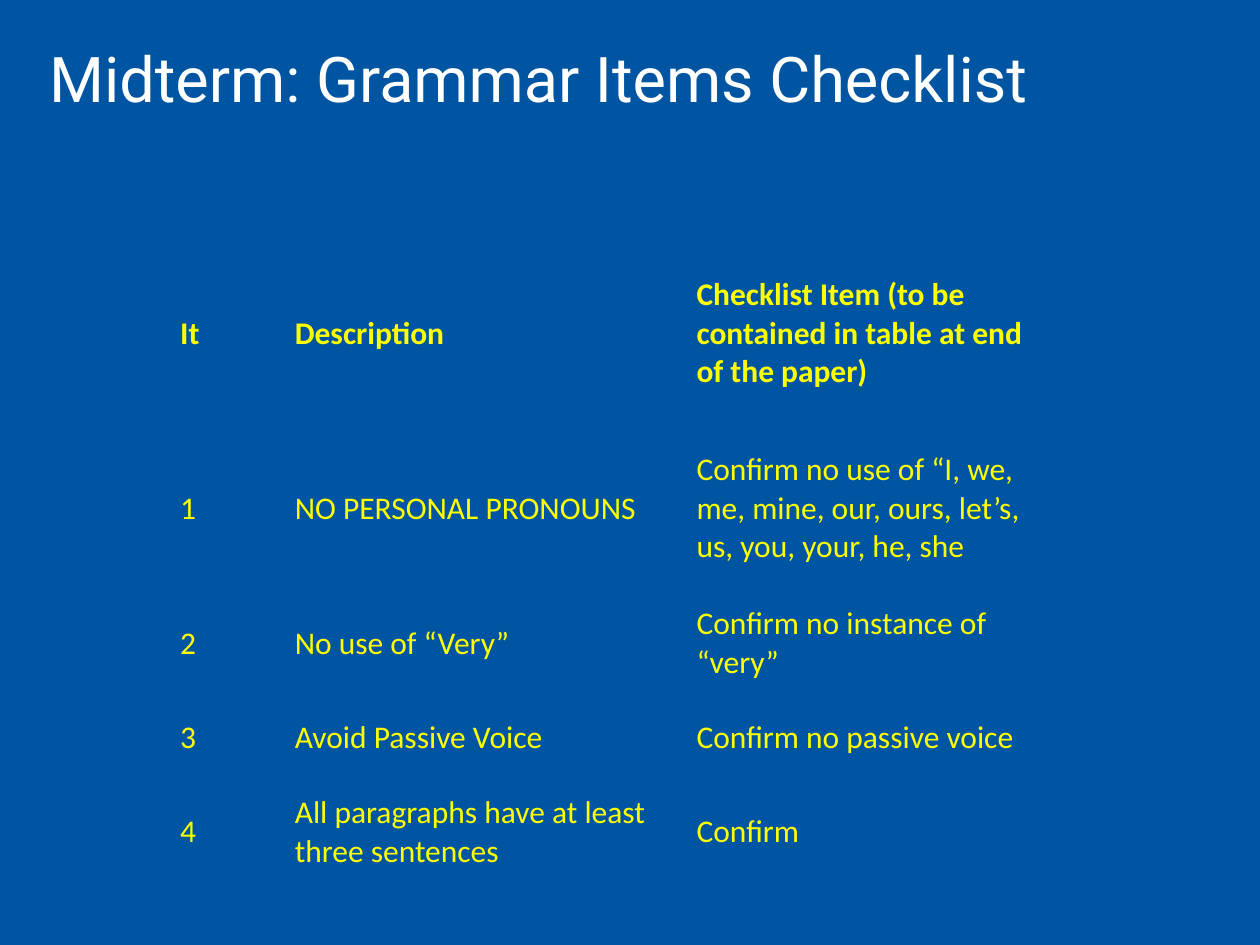
import dataclasses

import pptx
import pptx.dml.color
import pptx.enum.text
import pptx.oxml.ns
import pptx.util

Pt = pptx.util.Pt
MIDDLE = pptx.enum.text.MSO_ANCHOR.MIDDLE


@dataclasses.dataclass(frozen=True)
class Theme:
    """Colours, fonts and type sizes of the slide."""
    background: str = "0055A2"
    title_color: str = "FFFFFF"
    table_color: str = "FFFF00"
    title_font: str = "Roboto"
    table_font: str = "Calibri"
    title_size: int = 36
    table_size: int = 18
    plain_table_style: str = "{2D5ABB26-0587-4C30-8999-92F81FD0307C}"


THEME = Theme()
TITLE = "Midterm: Grammar Items Checklist"
CHECKLIST = [
    ("It", "Description", "Checklist Item (to be contained in table at end of the paper)"),
    ("1", "NO PERSONAL PRONOUNS",
     "Confirm no use of “I, we, me, mine, our, ours, let’s, us, you, your, he, she"),
    ("2", "No use of “Very”", "Confirm no instance of “very”"),
    ("3", "Avoid Passive Voice", "Confirm no passive voice"),
    ("4", "All paragraphs have at least three sentences", "Confirm"),
]
COLUMN_SHARES = (0.91, 3.19, 2.73)
ROW_SHARES = (1.39, 1.39, 0.75, 0.75, 0.75)


def set_all(target, values):
    """Set every attribute named in a dict of format values."""
    for name, value in values.items():
        setattr(target, name, value)


def write(paragraph, text, color, **font_values):
    """Put text in a paragraph with the given colour and font values."""
    paragraph.text = text
    set_all(paragraph.font, font_values)
    paragraph.font.color.rgb = pptx.dml.color.RGBColor.from_string(color)


def add_title(slide, left, top, width, height):
    """Place the slide title in the given box."""
    frame = slide.shapes.add_textbox(left, top, width, height).text_frame
    set_all(frame, {"word_wrap": True, "vertical_anchor": MIDDLE})
    heading = frame.paragraphs[0]
    write(heading, TITLE, THEME.title_color,
          name=THEME.title_font, size=Pt(THEME.title_size))
    heading.line_spacing = 0.9


def add_checklist(slide, left, top, width, height):
    """Place the checklist table in the given box."""
    checklist = slide.shapes.add_table(
        len(CHECKLIST), len(COLUMN_SHARES), left, top, width, height).table
    checklist.horz_banding = False
    style = checklist._tbl.tblPr.find(pptx.oxml.ns.qn("a:tableStyleId"))
    style.text = THEME.plain_table_style
    for column, share in zip(checklist.columns, COLUMN_SHARES):
        column.width = int(width * share / sum(COLUMN_SHARES))
    for row, share in zip(checklist.rows, ROW_SHARES):
        row.height = int(height * share / sum(ROW_SHARES))
    cell_format = {"vertical_anchor": MIDDLE,
                   "margin_left": Pt(5), "margin_right": Pt(5),
                   "margin_top": Pt(2.5), "margin_bottom": Pt(2.5)}
    for row_index, entries in enumerate(CHECKLIST):
        for column_index, entry in enumerate(entries):
            cell = checklist.cell(row_index, column_index)
            set_all(cell, cell_format)
            cell.fill.background()
            write(cell.text_frame.paragraphs[0], entry, THEME.table_color,
                  name=THEME.table_font, size=Pt(THEME.table_size),
                  bold=row_index == 0)


def main():
    """Build the checklist slide and save it."""
    deck = pptx.Presentation()
    set_all(deck, {"slide_width": Pt(720), "slide_height": Pt(540)})
    slide = deck.slides.add_slide(deck.slide_layouts[6])
    backdrop = slide.background.fill
    backdrop.solid()
    backdrop.fore_color.rgb = pptx.dml.color.RGBColor.from_string(THEME.background)
    add_title(slide, Pt(21), Pt(12), Pt(652), Pt(70))
    add_checklist(slide, Pt(98), Pt(140.5), Pt(491.5), Pt(362))
    deck.save("out.pptx")


if __name__ == "__main__":
    main()
